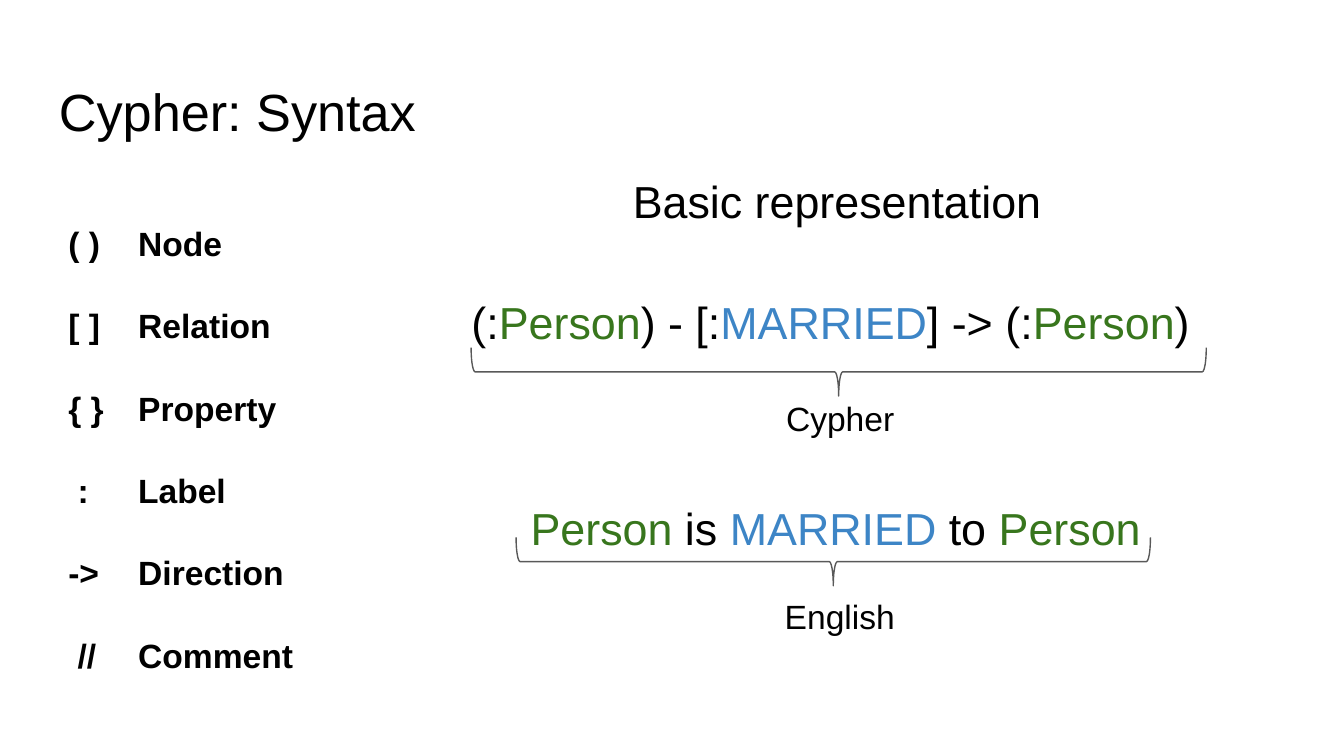
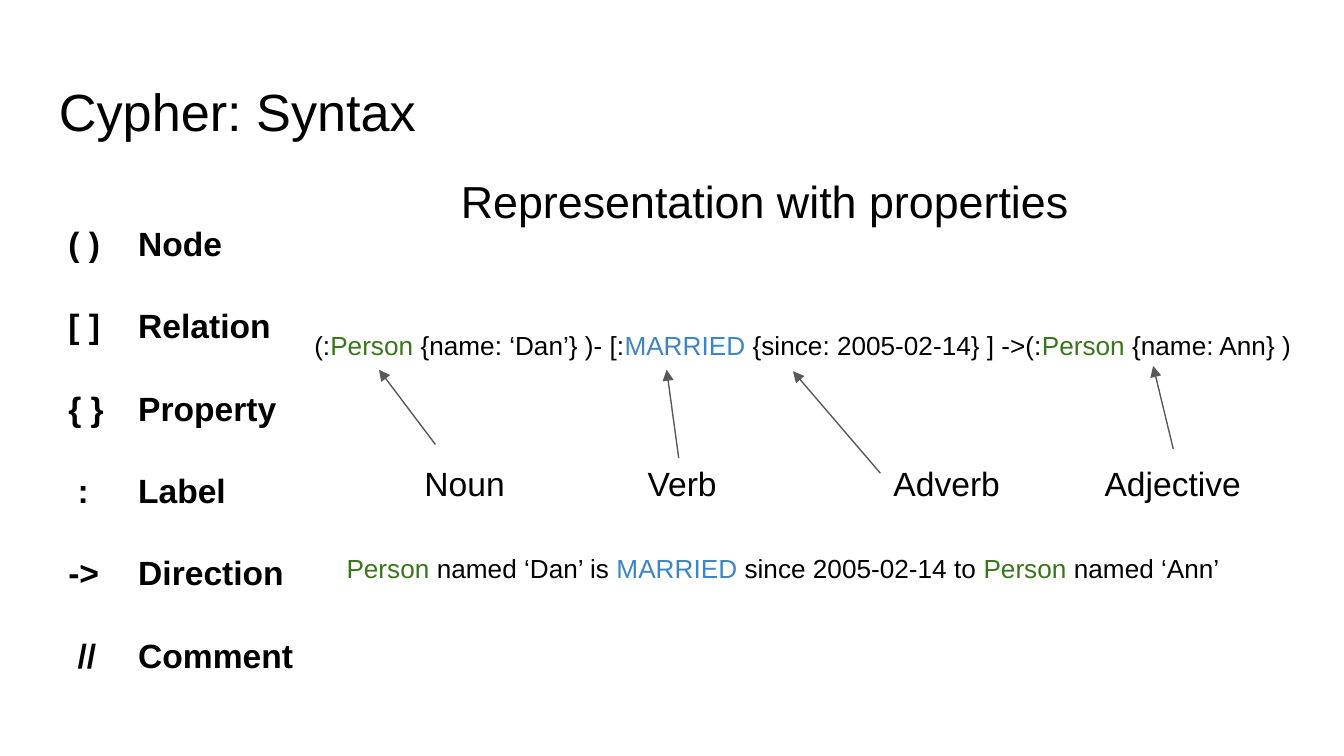
from lxml import etree
from pptx import Presentation
from pptx.dml.color import RGBColor
from pptx.enum.shapes import MSO_CONNECTOR, MSO_SHAPE
from pptx.oxml.ns import qn
from pptx.util import Inches, Pt

STRAIGHT = MSO_CONNECTOR.STRAIGHT
BRACE = MSO_SHAPE.RIGHT_BRACE

BLACK = RGBColor(0x00, 0x00, 0x00)
GREEN = RGBColor(0x38, 0x76, 0x1D)
BLUE = RGBColor(0x3D, 0x85, 0xC6)
GRAY = RGBColor(0x59, 0x59, 0x59)
WORD_COLORS = {"Person": GREEN, "MARRIED": BLUE}
FONT = "Arial"
LINE_WIDTH = Pt(0.75)

prs = Presentation()
prs.slide_width = Inches(10)
prs.slide_height = Inches(5.625)
COL = prs.slide_width / 100
ROW = prs.slide_height / 100
INSET = Inches(0.1)
LEGEND_TAB = Inches(0.52)

LEGEND = [
    ["( )\tNode"],
    ["[ ]\tRelation"],
    ["{ }\tProperty"],
    [" :\tLabel"],
    ["->\tDirection"],
    [" //\tComment"],
]


def add_text(s, left, top, width, height, size, lines, bold=False):
    sp = s.shapes.add_textbox(int(left * COL), int(top * ROW), int(width * COL), int(height * ROW))
    tf = sp.text_frame
    tf.word_wrap = True
    tf.margin_left = tf.margin_right = tf.margin_top = tf.margin_bottom = INSET
    for i, words in enumerate(lines):
        p = tf.paragraphs[0] if i == 0 else tf.add_paragraph()
        for word in words:
            r = p.add_run()
            r.text = word
            r.font.name = FONT
            r.font.size = Pt(size)
            r.font.bold = bold
            r.font.color.rgb = WORD_COLORS.get(word, BLACK)
    return sp


def add_syntax_slide(heading, left, width):
    s = prs.slides.add_slide(prs.slide_layouts[6])
    add_text(s, 3.4, 8.7, 93.2, 11.2, 28, [["Cypher: Syntax"]])
    add_text(s, left, 21.2, width, 10.1, 24, [[heading]])
    legend = add_text(s, 4.1, 27.7, 22.5, 62, 18, LEGEND, bold=True)
    for p in legend.text_frame.paragraphs:
        p.space_after = Pt(22.5)
        tabs = etree.SubElement(p._p.get_or_add_pPr(), qn("a:tabLst"))
        etree.SubElement(tabs, qn("a:tab"), pos=str(LEGEND_TAB), algn="l")
    return s


s = add_syntax_slide("Basic representation", 46.1, 44.9)
add_text(s, 34.1, 37.2, 60.6, 8.5, 24,
         [["(:", "Person", ") - [:", "MARRIED", "] -> (:", "Person", ")"]])
add_text(s, 38.5, 64.5, 48.6, 9.1, 24,
         [["Person", " is ", "MARRIED", " to ", "Person"]])

for caption, left, top in [("Cypher", 57.5, 50.8), ("English", 57.4, 77)]:
    add_text(s, left, top, 11.8, 7.8, 18, [[caption]])

BRACE_DEPTH = 3.6 * COL
for center_x, center_y, span in [(62.4, 49.2, 54.7), (62, 74.3, 47.2)]:
    length = span * COL
    sp = s.shapes.add_shape(BRACE, int(center_x * COL - BRACE_DEPTH / 2),
                            int(center_y * ROW - length / 2), int(BRACE_DEPTH), int(length))
    sp.rotation = 90
    sp.adjustments[0] = 0.083
    sp.adjustments[1] = 0.5
    sp.shadow.inherit = False
    sp.fill.background()
    sp.line.color.rgb = GRAY
    sp.line.width = LINE_WIDTH

s = add_syntax_slide("Representation with properties", 33.3, 60.2)
add_text(s, 22.4, 41.8, 76.6, 12.1, 14,
         [["(:", "Person", " {name: ‘Dan’} )- [:", "MARRIED",
           " {since: 2005-02-14} ] ->(:", "Person", " {name: Ann} )"]])
add_text(s, 24.8, 71.3, 71.2, 11.2, 14,
         [["Person", " named ‘Dan’ is ", "MARRIED", " since 2005-02-14 to ",
           "Person", " named ‘Ann’"]])

ROLES = [
    ("Noun", 30.6, 8.9, (32.4, 58.8), (28.2, 48.9), None),
    ("Verb", 47.2, 10.6, (50.5, 60.6), (49.6, 48.9), None),
    ("Adverb", 65.5, 10.6, (65.5, 62.6), (59, 49.1), 1),
    ("Adjective", 81.2, 12.2, (87.3, 59.4), (85.8, 48.4), 0),
]
for role, left, width, start, end, side in ROLES:
    label = add_text(s, left, 59.4, width, 6.4, 18, [[role]])
    arrow = s.shapes.add_connector(STRAIGHT, int(start[0] * COL), int(start[1] * ROW),
                                   int(end[0] * COL), int(end[1] * ROW))
    if side is not None:
        arrow.begin_connect(label, side)
    arrow.line.color.rgb = GRAY
    arrow.line.width = LINE_WIDTH
    etree.SubElement(arrow.line._get_or_add_ln(), qn("a:tailEnd"), type="triangle")
    etree.SubElement(arrow._element.spPr, qn("a:effectLst"))

prs.save("out.pptx")
